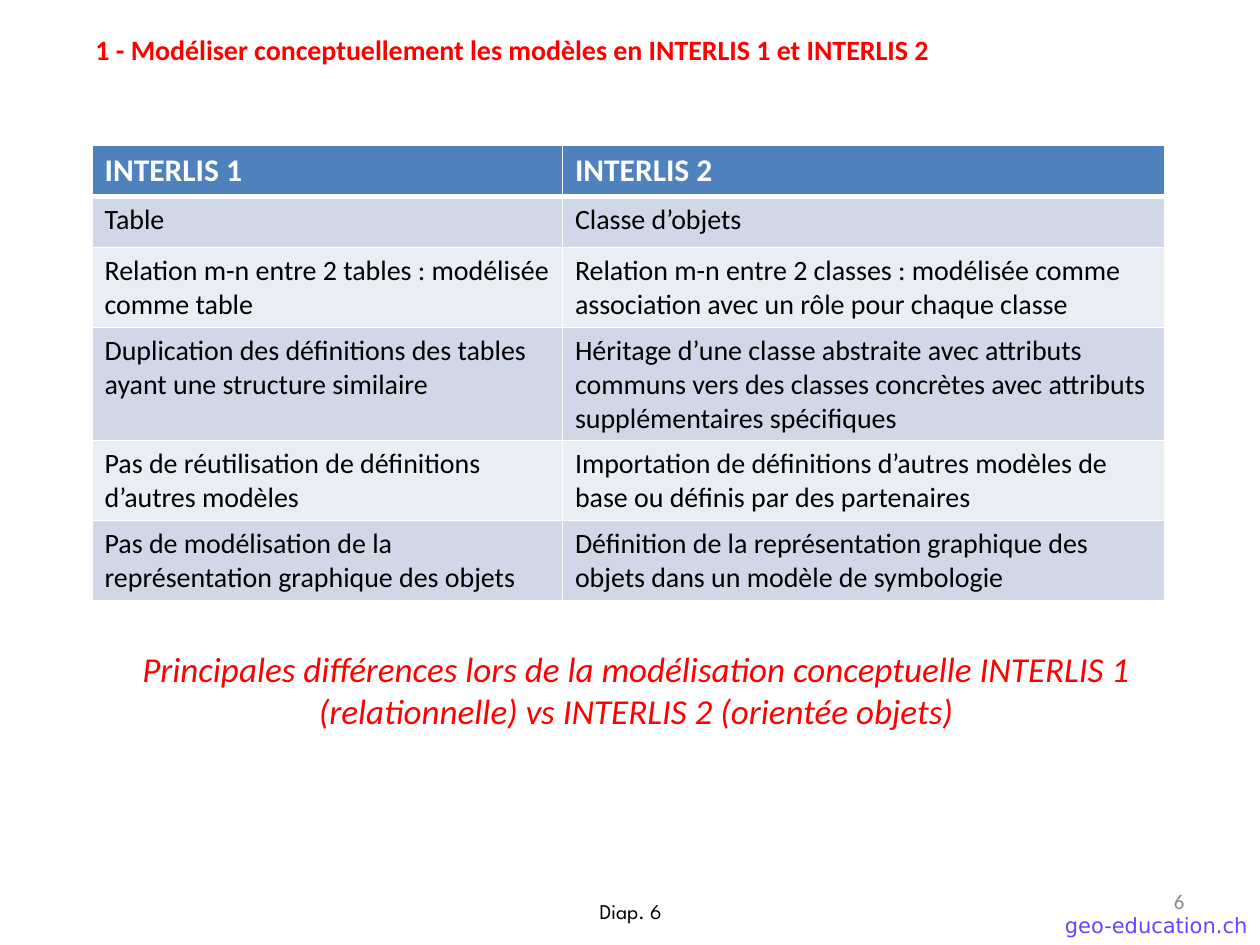
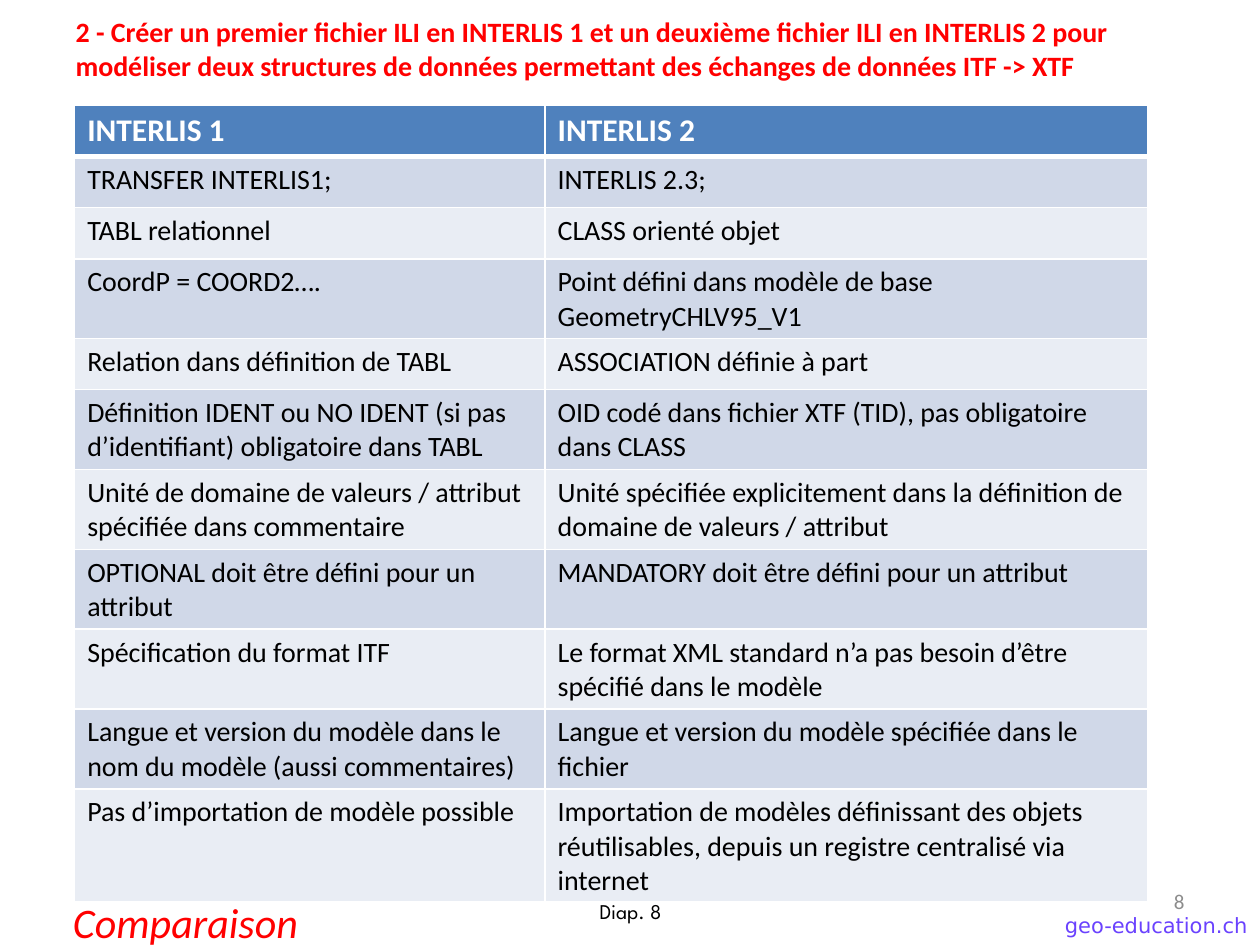
from lxml.etree import SubElement
from pptx import Presentation
from pptx.dml.color import RGBColor
from pptx.enum.text import MSO_ANCHOR, PP_ALIGN
from pptx.oxml.ns import qn
from pptx.util import Pt

RED = RGBColor(0xFF, 0x00, 0x00)
BLACK = RGBColor(0x00, 0x00, 0x00)
WHITE = RGBColor(0xFF, 0xFF, 0xFF)
GREY = RGBColor(0x8C, 0x8C, 0x8C)
VIOLET = RGBColor(0x6A, 0x42, 0xFE)
HEADER_BLUE = RGBColor(0x4F, 0x81, 0xBD)
BAND_DARK = RGBColor(0xD0, 0xD8, 0xE8)
BAND_LIGHT = RGBColor(0xE9, 0xED, 0xF4)

BODY_FONT = "Calibri"
COLUMN_WIDTHS = (268.8, 344.4)
ROW_HEIGHT = 29.2
HEADINGS = ("INTERLIS 1", "INTERLIS 2")

MODELLING_ROWS = [
    ("Table", "Classe d’objets"),
    ("Relation m-n entre 2 tables : modélisée comme table",
     "Relation m-n entre 2 classes : modélisée comme association avec un rôle pour chaque classe"),
    ("Duplication des définitions des tables ayant une structure similaire",
     "Héritage d’une classe abstraite avec attributs communs vers des classes concrètes "
     "avec attributs supplémentaires spécifiques"),
    ("Pas de réutilisation de définitions d’autres modèles",
     "Importation de définitions d’autres modèles de base ou définis par des partenaires"),
    ("Pas de modélisation de la représentation graphique des objets",
     "Définition de la représentation graphique des objets dans un modèle de symbologie"),
]

FILE_ROWS = [
    ("TRANSFER INTERLIS1;", "INTERLIS 2.3;"),
    ("TABL relationnel", "CLASS orienté objet"),
    ("CoordP = COORD2….", "Point défini dans modèle de base GeometryCHLV95_V1"),
    ("Relation dans définition de TABL", "ASSOCIATION définie à part"),
    ("Définition IDENT ou NO IDENT (si pas d’identifiant) obligatoire dans TABL",
     "OID codé dans fichier XTF (TID), pas obligatoire dans CLASS"),
    ("Unité de domaine de valeurs / attribut spécifiée dans commentaire",
     "Unité spécifiée explicitement dans la définition de domaine de valeurs / attribut"),
    ("OPTIONAL doit être défini pour un attribut",
     "MANDATORY doit être défini pour un attribut"),
    ("Spécification du format ITF",
     "Le format XML standard n’a pas besoin d’être spécifié dans le modèle"),
    ("Langue et version du modèle dans le nom du modèle (aussi commentaires)",
     "Langue et version du modèle spécifiée dans le fichier"),
    ("Pas d’importation de modèle possible",
     "Importation de modèles définissant des objets réutilisables, "
     "depuis un registre centralisé via internet"),
]


def style_text(para, size, color, font=BODY_FONT, bold=False, italic=False):
    for span in para.runs:
        span.font.name = font
        span.font.size = Pt(size)
        span.font.color.rgb = color
        span.font.bold = bold
        span.font.italic = italic


def add_text(page, box, text, size, color, align=PP_ALIGN.LEFT, wrap=True, **style):
    frame = page.shapes.add_textbox(*map(Pt, box)).text_frame
    frame.word_wrap = wrap
    frame.text = text
    para = frame.paragraphs[0]
    para.alignment = align
    style_text(para, size, color, **style)
    return frame


def add_title(page, box, text, wrap=True):
    return add_text(page, box, text, 16, RED, wrap=wrap, bold=True)


def add_caption(page, box, text, size, align=PP_ALIGN.LEFT, wrap=True):
    add_text(page, box, text, size, RED, align, wrap, italic=True)


def add_footer(page, number):
    add_text(page, (586.8, 517.7, 133.2, 36), "geo-education.ch", 12, VIOLET,
             PP_ALIGN.RIGHT, font="DejaVu Sans")
    number_frame = add_text(page, (516.2, 500.4, 167.8, 28.8), str(number), 12, GREY,
                            PP_ALIGN.RIGHT)
    number_frame.vertical_anchor = MSO_ANCHOR.MIDDLE
    add_text(page, (201.6, 509.8, 317.5, 28), f"Diap. {number}", 12, BLACK,
             PP_ALIGN.CENTER, font="League Spartan")


def add_borders(cell, top, bottom):
    properties = cell._tc.get_or_add_tcPr()
    for side, width in (("L", 1), ("R", 1), ("T", top), ("B", bottom)):
        line = SubElement(properties, qn(f"a:ln{side}"), w=str(Pt(width)))
        fill = SubElement(line, qn("a:solidFill"))
        SubElement(fill, qn("a:srgbClr"), val=str(WHITE))


def add_comparison(page, left, top, rows):
    lines = [HEADINGS, *rows]
    table = page.shapes.add_table(
        len(lines), len(HEADINGS), Pt(left), Pt(top),
        Pt(sum(COLUMN_WIDTHS)), Pt(ROW_HEIGHT * len(lines))).table
    for column, width in zip(table.columns, COLUMN_WIDTHS):
        column.width = Pt(width)
    for row_index, texts in enumerate(lines):
        table.rows[row_index].height = Pt(ROW_HEIGHT)
        is_header = row_index == 0
        band = HEADER_BLUE if is_header else (BAND_LIGHT, BAND_DARK)[row_index % 2]
        for column_index, text in enumerate(texts):
            cell = table.cell(row_index, column_index)
            add_borders(cell, 3 if row_index == 1 else 1, 3 if is_header else 1)
            cell.fill.solid()
            cell.fill.fore_color.rgb = band
            cell.text = text
            style_text(cell.text_frame.paragraphs[0], 18 if is_header else 16,
                       WHITE if is_header else BLACK, bold=is_header)


def build_modelling_page(page):
    add_caption(page, (47.5, 366.5, 632.2, 55.4),
                "Principales différences lors de la modélisation conceptuelle "
                "INTERLIS 1 (relationnelle) vs INTERLIS 2 (orientée objets)",
                20, PP_ALIGN.CENTER)
    add_title(page, (47.5, 15.1, 499.7, 26.6),
              "1 - Modéliser conceptuellement les modèles en INTERLIS 1 et INTERLIS 2",
              wrap=False)
    add_comparison(page, 52.6, 83, MODELLING_ROWS)
    add_footer(page, 6)


def build_file_page(page):
    title = add_title(page, (0, 5, 646.6, 46),
                      "2 - Créer un premier fichier ILI en INTERLIS 1 et un deuxième "
                      "fichier ILI en INTERLIS 2 pour modéliser deux structures de données "
                      "permettant des échanges de données ITF -> XTF")
    title.margin_left = Pt(43.2)
    add_comparison(page, 42.7, 60.3, FILE_ROWS)
    add_footer(page, 8)
    add_caption(page, (34.6, 509, 149.8, 36), "Comparaison", 24, wrap=False)


def main():
    deck = Presentation()
    deck.slide_width, deck.slide_height = Pt(720), Pt(540)
    for build_page in (build_modelling_page, build_file_page):
        build_page(deck.slides.add_slide(deck.slide_layouts[6]))
    deck.save("out.pptx")


if __name__ == "__main__":
    main()
